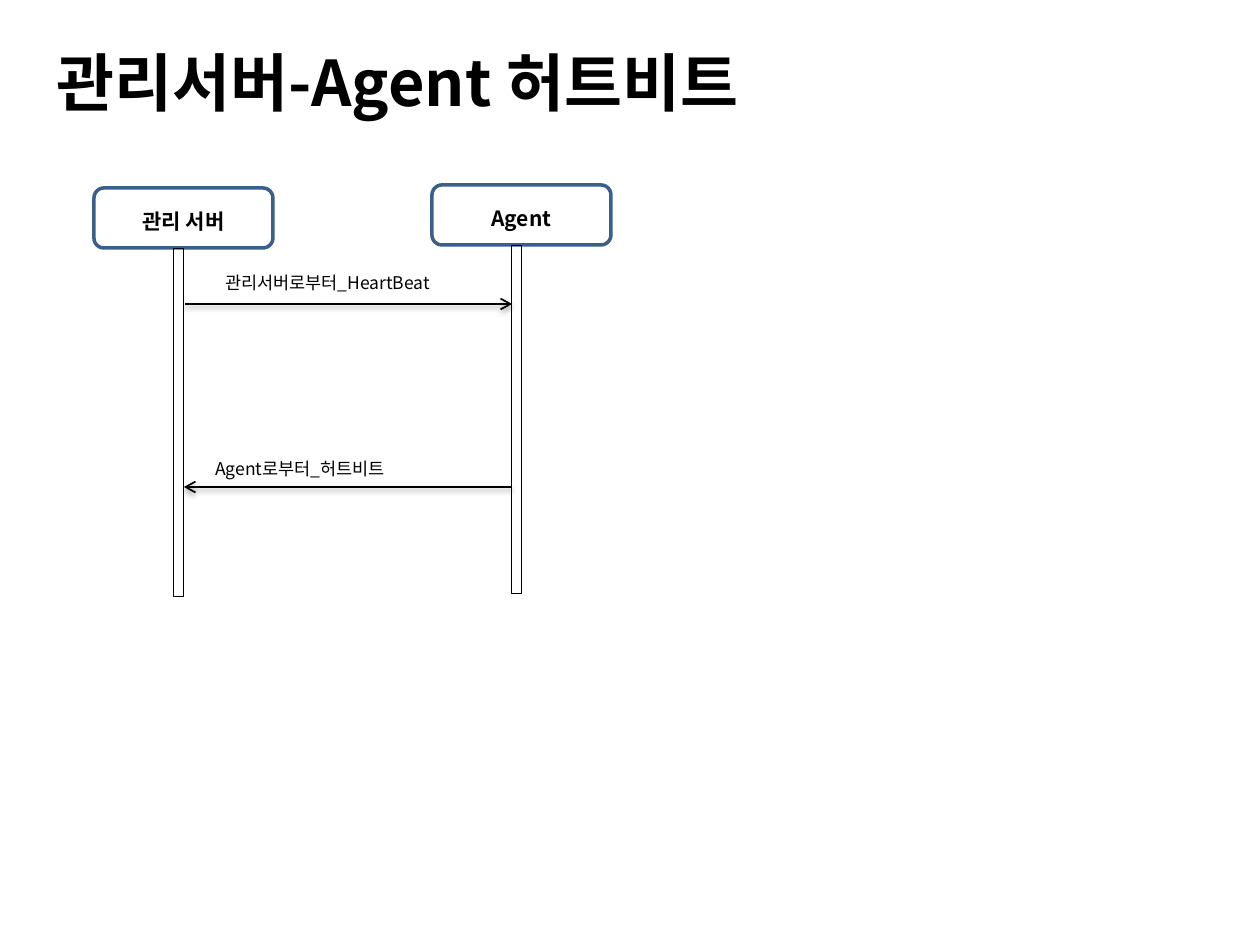
from dataclasses import dataclass

from lxml import etree
from pptx import Presentation
from pptx import util as u
from pptx.dml.color import RGBColor
from pptx.enum import shapes, text
from pptx.oxml import ns

PX = 914400 / 126


def px(*values):
    return [u.Emu(round(v * PX)) for v in values]


@dataclass(frozen=True)
class Theme:
    font: str = "Noto Sans CJK KR"
    ink: str = "000000"
    border: str = "3A5F8C"
    title: int = 36
    actor: int = 12
    message: int = 10
    shadow_alpha: int = 38000


class SequenceDiagram:
    def __init__(self, slide, theme):
        self.s = slide
        self.theme = theme

    def label(self, content, box, size, bold=False, align=text.PP_ALIGN.LEFT):
        sp = self.s.shapes.add_textbox(*px(*box))
        tf = sp.text_frame
        tf.word_wrap = True
        tf.auto_size = text.MSO_AUTO_SIZE.SHAPE_TO_FIT_TEXT
        p = tf.paragraphs[0]
        p.alignment = align
        r = p.add_run()
        r.text = content
        r.font.name = self.theme.font
        r.font.size = u.Pt(size)
        r.font.bold = bold
        r.font.color.rgb = RGBColor.from_string(self.theme.ink)
        ea = etree.SubElement(r.font._element, ns.qn("a:ea"))
        ea.set("typeface", self.theme.font)

    def outline(self, kind, box, color, width):
        sp = self.s.shapes.add_shape(kind, *px(*box))
        sp.shadow.inherit = False
        sp.fill.background()
        sp.line.color.rgb = RGBColor.from_string(color)
        sp.line.width = u.Pt(width)

    def actor(self, name, x, y):
        width, height = 179, 60
        self.outline(shapes.MSO_SHAPE.ROUNDED_RECTANGLE,
                     (x, y, width, height), self.theme.border, 2)
        self.label(name, (x, y + 14, width, 38), self.theme.actor,
                   True, text.PP_ALIGN.CENTER)
        self.outline(shapes.MSO_SHAPE.RECTANGLE,
                     (x + 79, y + height, 10, 348), self.theme.ink, 0.25)

    def message(self, content, box, start, end, y):
        self.label(content, box, self.theme.message)
        sp = self.s.shapes.add_connector(
            shapes.MSO_CONNECTOR.STRAIGHT, *px(start, y, end, y))
        sp.line.color.rgb = RGBColor.from_string(self.theme.ink)
        sp.line.width = u.Pt(1)
        ln = sp.line._get_or_add_ln()
        etree.SubElement(ln, ns.qn("a:tailEnd")).set("type", "arrow")
        effects = etree.SubElement(sp._element.spPr, ns.qn("a:effectLst"))
        shadow = etree.SubElement(
            effects, ns.qn("a:outerShdw"), blurRad=str(u.Pt(3.1)),
            dist=str(u.Pt(1.6)), dir="5400000", rotWithShape="0")
        color = etree.SubElement(
            shadow, ns.qn("a:srgbClr"), val=self.theme.ink)
        etree.SubElement(
            color, ns.qn("a:alpha"), val=str(self.theme.shadow_alpha))


def main():
    prs = Presentation()
    prs.slide_width, prs.slide_height = px(1260, 945)
    s = prs.slides.add_slide(prs.slide_layouts[6])
    theme = Theme()
    diagram = SequenceDiagram(s, theme)

    diagram.label("관리서버-Agent 허트비트", (44, 37, 814, 89), theme.title, True)
    for name, x, y in (("관리 서버", 94, 188), ("Agent", 432, 185)):
        diagram.actor(name, x, y)
    diagram.message("관리서버로부터_HeartBeat", (213, 266, 268, 34), 185, 512, 304)
    diagram.message("Agent로부터_허트비트", (203, 452, 307, 34), 512, 184, 487)
    prs.save("out.pptx")


if __name__ == "__main__":
    main()
